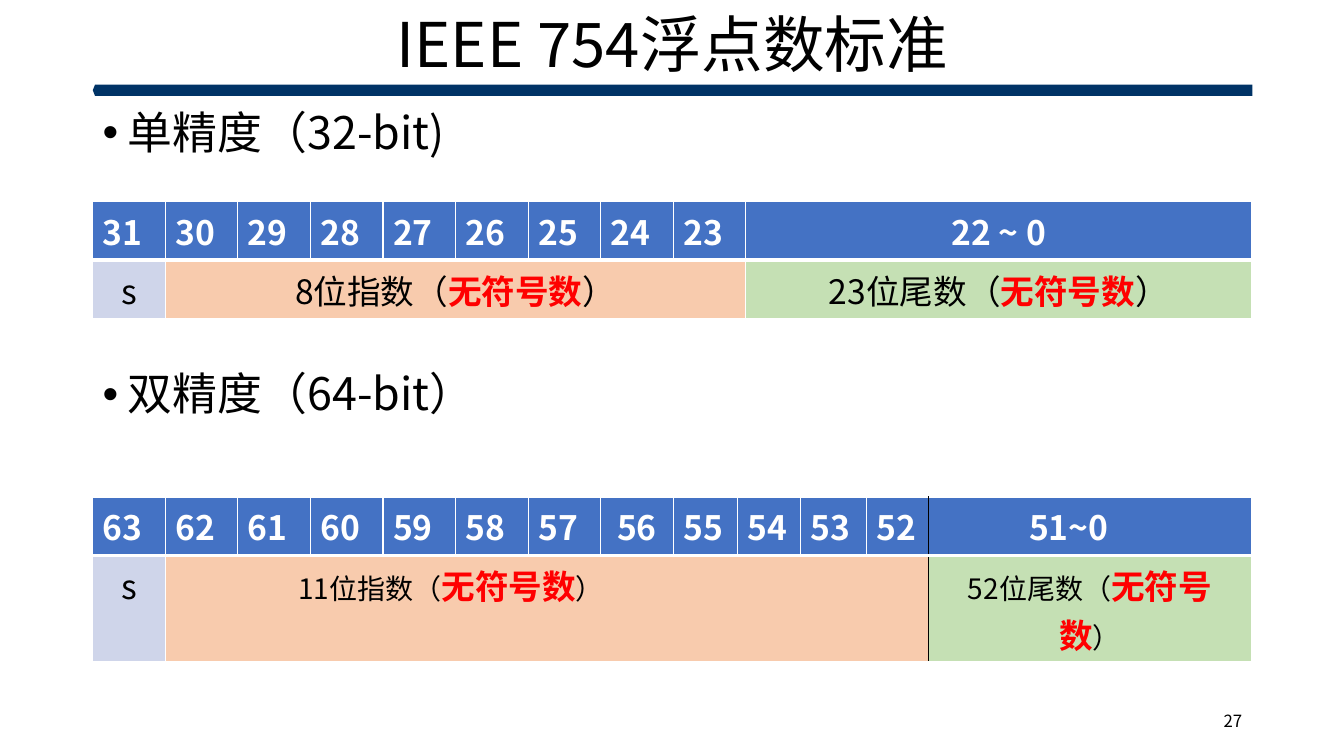
import pptx
import pptx.util
import pptx.dml.color
import pptx.enum.shapes
import pptx.enum.text
import pptx.oxml

Inches, Pt = pptx.util.Inches, pptx.util.Pt
ALIGN = pptx.enum.text.PP_ALIGN
MIDDLE = pptx.enum.text.MSO_ANCHOR.MIDDLE
NS = 'xmlns:a="http://schemas.openxmlformats.org/drawingml/2006/main"'
FONT = "Noto Sans CJK SC"
LEFT, WIDTH, BIT, HEAD = 0.92, 11.5, 0.72, 0.58


def rgb(color):
    return pptx.dml.color.RGBColor.from_string(color)


def style(r, size, color="000000", bold=False):
    r.font.size = Pt(size)
    r.font.name = FONT
    r.font.bold = bold
    r.font.color.rgb = rgb(color)
    r._r.get_or_add_rPr().append(
        pptx.oxml.parse_xml(f'<a:ea {NS} typeface="{FONT}"/>'))


prs = pptx.Presentation()
prs.slide_width, prs.slide_height = Inches(13.33), Inches(7.5)
s = prs.slides.add_slide(prs.slide_layouts[6])

bar = s.shapes.add_shape(pptx.enum.shapes.MSO_SHAPE.PENTAGON,
                         Inches(LEFT), Inches(0.84), Inches(WIDTH), Inches(0.11))
bar.adjustments[0] = 0.2
bar.rotation = 180
bar.shadow.inherit = False
bar.fill.solid()
bar.fill.fore_color.rgb = rgb("003366")
bar.line.fill.background()

sp = s.shapes.add_textbox(Inches(LEFT), Inches(1.05), Inches(WIDTH), Inches(5.8))
tf = sp.text_frame
tf.word_wrap = True
tf.text = "单精度（32-bit)\n双精度（64-bit）"
for p in tf.paragraphs:
    pPr = p._p.get_or_add_pPr()
    pPr.set("marL", str(Inches(0.25)))
    pPr.set("indent", str(Inches(-0.25)))
    for bullet in ('<a:buClr {}><a:srgbClr val="000000"/></a:buClr>',
                   '<a:buFont {} typeface="Arial"/>', '<a:buChar {} char="•"/>'):
        pPr.append(pptx.oxml.parse_xml(bullet.format(NS)))
    p.line_spacing = 0.9
    style(p.runs[0], 32)
tf.paragraphs[1].space_before = Pt(152)

for text, left, top, width, height, size, align, spacing in (
        ("IEEE 754浮点数标准", LEFT, 0.03, WIDTH, 0.89, 44, ALIGN.CENTER, 0.9),
        ("27", 9.42, 6.95, 3, 0.4, 12, ALIGN.RIGHT, 1.0)):
    sp = s.shapes.add_textbox(Inches(left), Inches(top), Inches(width), Inches(height))
    tf = sp.text_frame
    tf.word_wrap = True
    tf.vertical_anchor = MIDDLE
    tf.text = text
    p = tf.paragraphs[0]
    p.alignment = align
    p.line_spacing = spacing
    style(p.runs[0], size)

formats = (
    dict(top=2, body=HEAD, bits=range(31, 22, -1), narrow=[], rest="22 ~ 0",
         rest_align=ALIGN.CENTER, rest_margin=0.1, centred=None, size=24,
         exponent="8位指数（", mantissa="23位尾数（", exponent_margin=0.1, divider="FFFFFF"),
    dict(top=4.93, body=1.05, bits=range(63, 51, -1), narrow=[0.64, 0.62, 0.66, 0.61],
         rest="51~0", rest_align=ALIGN.LEFT, rest_margin=1, centred=56, size=20,
         exponent="11位指数（", mantissa="52位尾数（", exponent_margin=2, divider="000000"),
)
for f in formats:
    bits = f["bits"]
    last = len(bits)
    widths = [BIT] * (last - len(f["narrow"])) + f["narrow"]
    widths.append(WIDTH - sum(widths))
    table = s.shapes.add_table(2, last + 1, Inches(LEFT), Inches(f["top"]),
                               Inches(WIDTH), Inches(HEAD + f["body"])).table
    table.rows[0].height, table.rows[1].height = Inches(HEAD), Inches(f["body"])
    for c, width in enumerate(widths):
        table.columns[c].width = Inches(width)
        for r, fill in enumerate(("4472C4", ("CFD5EA", "F8CBAD", "C5E0B4")[(c > 0) + (c == last)])):
            cell = table.cell(r, c)
            tcPr = cell._tc.get_or_add_tcPr()
            for side, color, weight in (
                    ("L", f["divider"] if c == last else "FFFFFF", 1),
                    ("R", f["divider"] if c == last - 1 else "FFFFFF", 1),
                    ("T", "FFFFFF", 3 if r else 1), ("B", "FFFFFF", 1 if r else 3)):
                tcPr.append(pptx.oxml.parse_xml(
                    f'<a:ln{side} {NS} w="{Pt(weight)}"><a:solidFill>'
                    f'<a:srgbClr val="{color}"/></a:solidFill></a:ln{side}>'))
            cell.fill.solid()
            cell.fill.fore_color.rgb = rgb(fill)
        head = table.cell(0, c)
        head.text_frame.text = f["rest"] if c == last else str(bits[c])
        p = head.text_frame.paragraphs[0]
        if c == last:
            p.alignment = f["rest_align"]
            head.margin_left = Inches(f["rest_margin"])
        elif bits[c] == f["centred"]:
            p.alignment = ALIGN.CENTER
        style(p.runs[0], 24, "FFFFFF", True)

    table.cell(1, 1).merge(table.cell(1, last - 1))
    table.cell(1, 1).margin_right = Inches(f["exponent_margin"])
    unsigned = ("无符号数", 24, "FF0000", True)
    close = ("）", f["size"])
    for c, parts in ((0, [("s", 24)]),
                     (1, [(f["exponent"], f["size"]), unsigned, close]),
                     (last, [(f["mantissa"], f["size"]), unsigned, close])):
        p = table.cell(1, c).text_frame.paragraphs[0]
        p.alignment = ALIGN.CENTER
        for text, *look in parts:
            run = p.add_run()
            run.text = text
            style(run, *look)

prs.save("out.pptx")
